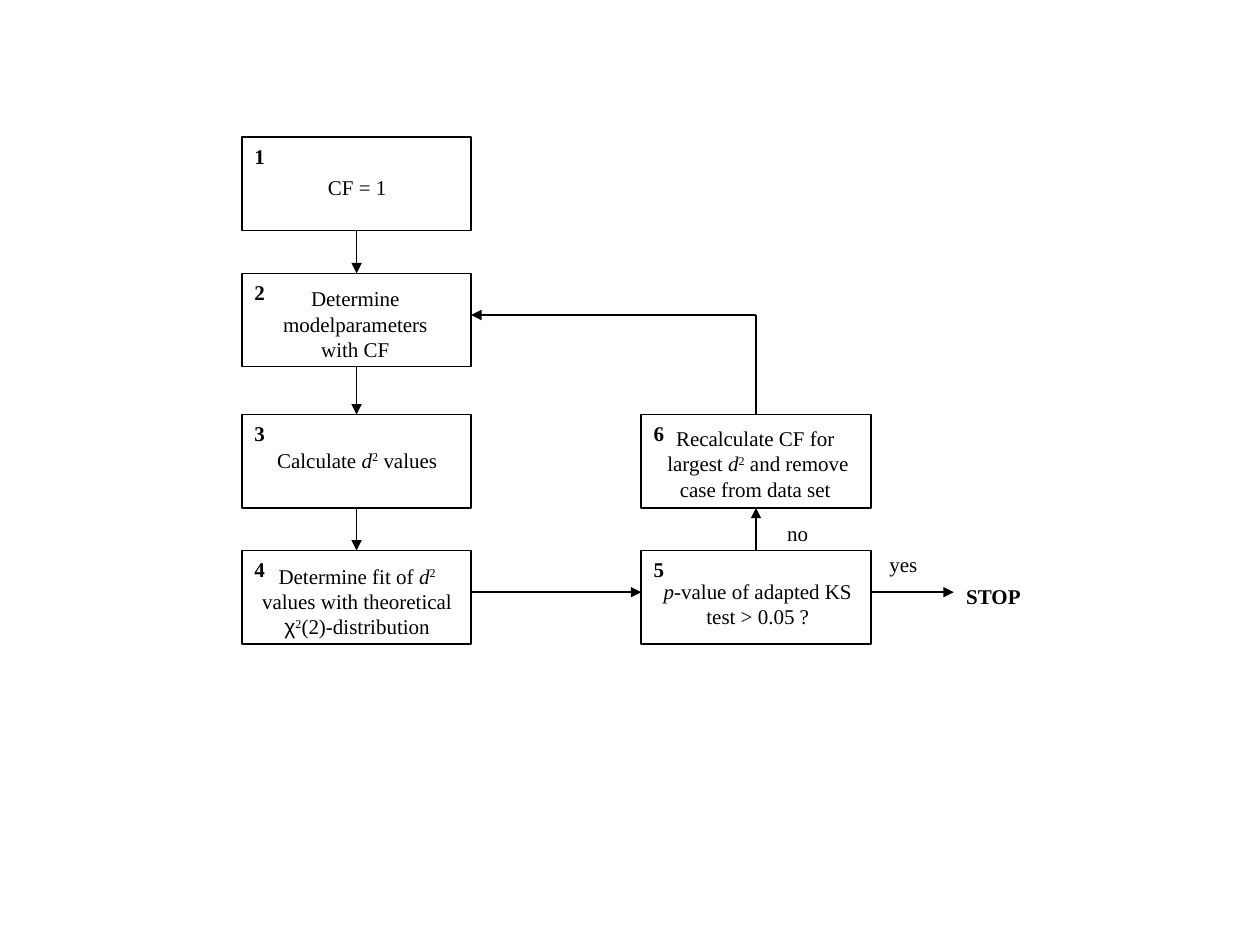
from lxml.etree import SubElement
from pptx import Presentation
from pptx.dml.color import RGBColor
from pptx.enum.shapes import MSO_CONNECTOR, MSO_SHAPE
from pptx.enum.text import PP_ALIGN
from pptx.oxml.ns import qn
from pptx.util import Inches, Pt

BLACK = RGBColor(0, 0, 0)
COLS = (1.92, 5.09)
ROWS = (1.09, 2.17, 3.29, 4.37)
BOX_W, BOX_H = 1.82, 0.74
TOP, BOTTOM = 0, 2

prs = Presentation()
prs.slide_width, prs.slide_height = Inches(10), Inches(7.5)
s = prs.slides.add_slide(prs.slide_layouts[6])


def add_text(x, y, w, h, parts, bold=False, align=PP_ALIGN.CENTER, wrap=True):
    """Parts are (text, style) pairs: i italic, sup superscript, sym Arial, br new line before."""
    tf = s.shapes.add_textbox(Inches(x), Inches(y), Inches(w), Inches(h)).text_frame
    tf.word_wrap = wrap
    p = tf.paragraphs[0]
    p.alignment = align
    p.font.size, p.font.bold = Pt(12), bold
    p.font.name = "Times New Roman"
    p.font.color.rgb = BLACK
    for text, style in parts:
        if style == "br":
            p.add_line_break()
        r = p.add_run()
        r.text = text
        if style == "i":
            r.font.italic = True
        elif style == "sup":
            r.font._element.set("baseline", "30000")
        elif style == "sym":
            r.font.name = "Arial"


def add_line(x1, y1, x2, y2, arrow=True):
    line = s.shapes.add_connector(MSO_CONNECTOR.STRAIGHT, Inches(x1), Inches(y1), Inches(x2), Inches(y2))
    line.line.color.rgb = BLACK
    line.line.width = Pt(1)
    if arrow:
        SubElement(line.line._get_or_add_ln(), qn("a:tailEnd"), type="triangle")
    SubElement(line._element.spPr, qn("a:effectLst"))
    return line


# Steps: number, column, row, caption offset (x, y), caption width, caption
D2 = [("d", "i"), ("2", "sup")]
steps = [
    (1, 0, 0, 0, 0.25, 1.83, [("CF = 1", "")]),
    (2, 0, 1, 0.06, 0.05, 1.68, [("Determine modelparameters with CF", "")]),
    (3, 0, 2, 0, 0.21, 1.83, [("Calculate ", ""), *D2, (" values", "")]),
    (4, 0, 3, 0, 0.05, 1.83, [("Determine fit of ", ""), *D2, (" values with theoretical ", ""),
                              ("χ", "sym"), ("2", "sup"), ("(2)-distribution", "")]),
    (5, 1, 3, 0.01, 0.17, 1.83, [("p", "i"), ("-value of adapted KS test > 0.05 ?", "")]),
    (6, 1, 2, -0.01, 0.04, 1.83, [("Recalculate CF for", ""), (" largest ", "br"), *D2,
                                  (" and remove case from data set", "")]),
]
boxes = {}
for number, col, row, dx, dy, width, caption in steps:
    x, y = COLS[col], ROWS[row]
    box = s.shapes.add_shape(MSO_SHAPE.RECTANGLE, Inches(x), Inches(y), Inches(BOX_W), Inches(BOX_H))
    box.shadow.inherit = False
    box.fill.background()
    box.line.color.rgb = BLACK
    box.line.width = Pt(1)
    boxes[number] = box
    add_text(x + dx, y + dy, width, 0.7, caption)
    add_text(x, y, 0.33, 0.3, [(str(number), "")], bold=True, align=PP_ALIGN.LEFT)

# Vertical arrows between neighbouring steps
for start, end, start_side, end_side in ((1, 2, BOTTOM, TOP), (2, 3, BOTTOM, TOP),
                                         (3, 4, BOTTOM, TOP), (5, 6, TOP, BOTTOM)):
    arrow = add_line(0, 0, 1, 1)
    arrow.begin_connect(boxes[start], start_side)
    arrow.end_connect(boxes[end], end_side)

# Horizontal arrows of the bottom row
left_edge, right_edge = COLS[0] + BOX_W, COLS[1] + BOX_W
flow_y = 4.7
add_line(left_edge, flow_y, COLS[1], flow_y)
add_line(right_edge, flow_y, 7.57, flow_y)

# Loop from step 6 back to step 2
loop_x, loop_y = COLS[1] + BOX_W / 2, 2.5
add_line(loop_x, ROWS[2], loop_x, loop_y, arrow=False).begin_connect(boxes[6], TOP)
add_line(loop_x, loop_y, left_edge, loop_y)

# Outcome labels
add_text(6.08, 4.08, 0.5, 0.3, [("no", "")])
add_text(6.92, 4.33, 0.5, 0.3, [("yes", "")])
add_text(7.57, 4.58, 0.63, 0.3, [("STOP", "")], bold=True, align=PP_ALIGN.LEFT, wrap=False)

prs.save("out.pptx")
